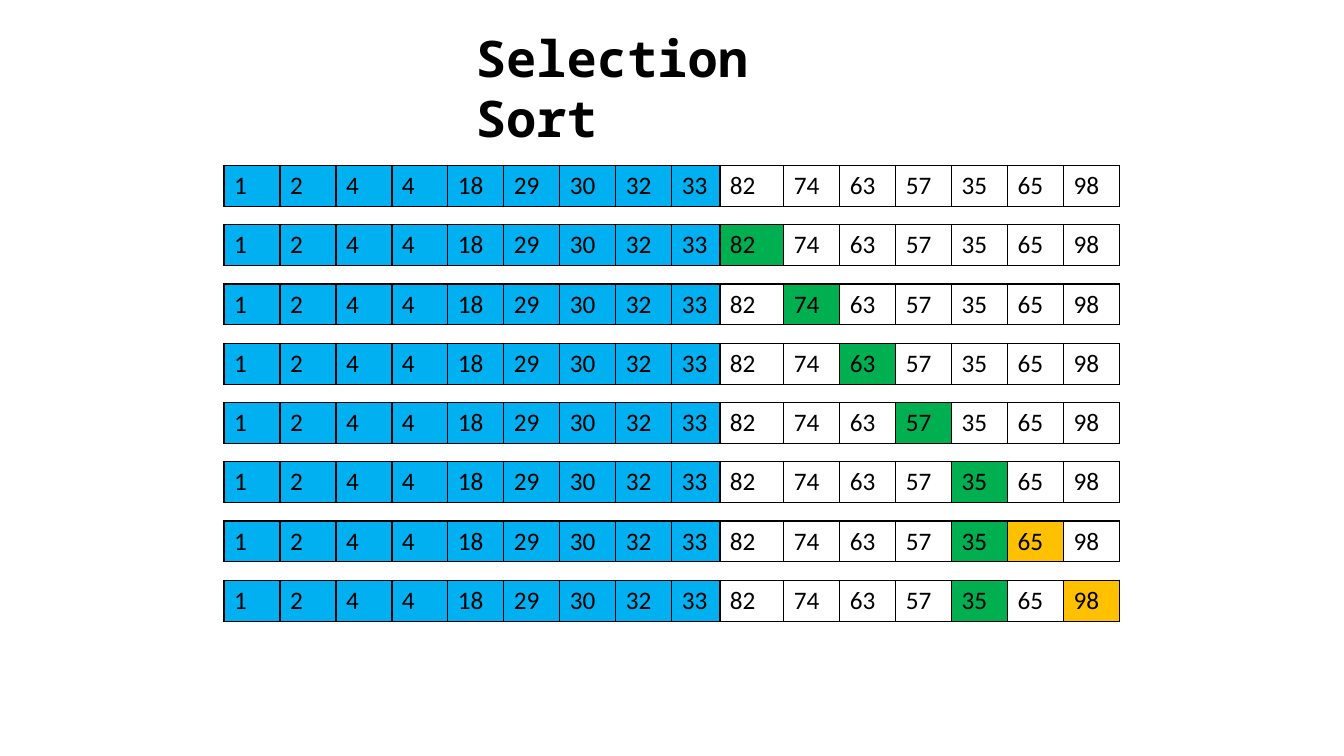
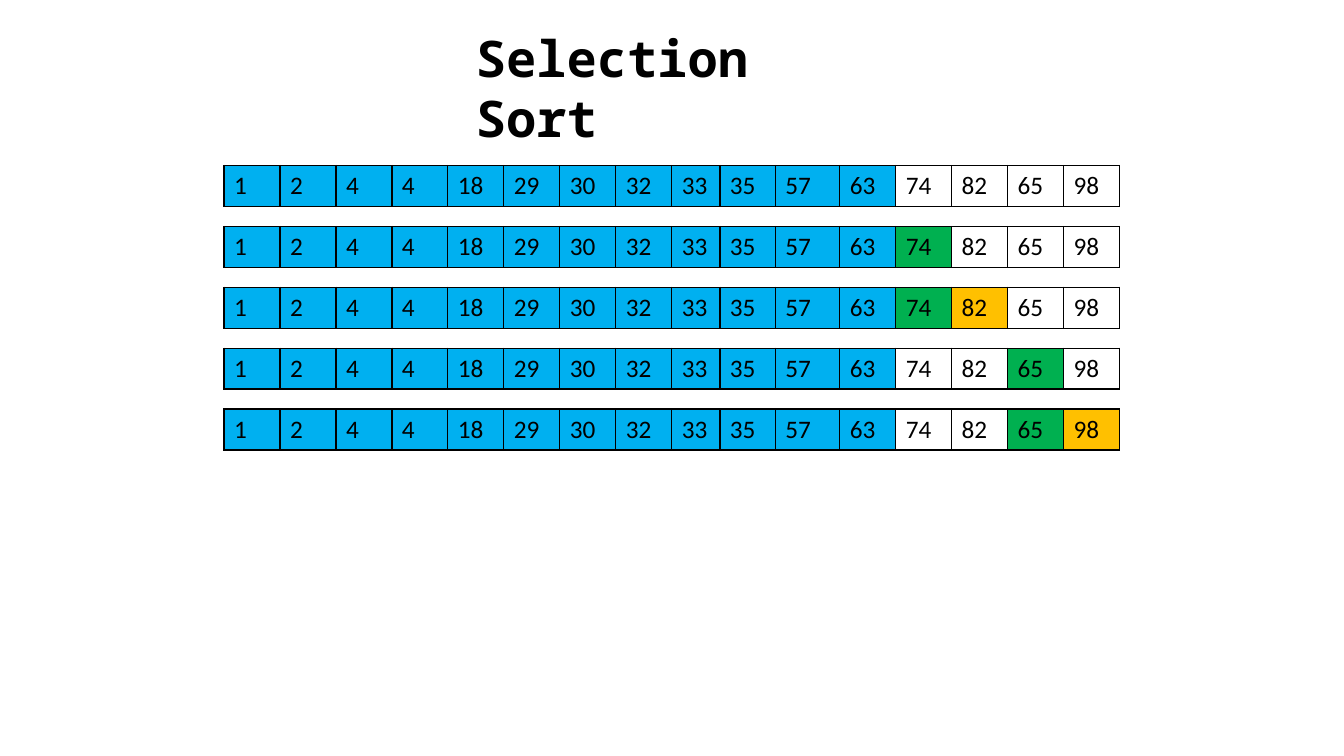
import pptx
import pptx.dml.color
import pptx.enum.text
import pptx.oxml
import pptx.oxml.ns
import pptx.util

COLORS = {
    "ink": "000000",
    "sorted": "00B0F0",
    "minimum": "00B050",
    "candidate": "FFC000",
}
TITLE_FORMAT = {"name": "Noto Sans Mono", "size": pptx.util.Pt(36), "bold": True}
CELL_FORMAT = {"name": "Calibri", "size": pptx.util.Pt(18), "bold": False}

SLIDE_WIDTH = pptx.util.Inches(13.33)
SLIDE_HEIGHT = pptx.util.Inches(7.5)
GRID_COLUMNS = 24
GRID_ROWS = 18.5  # one grid row is the height of one array
ARRAY_LEFT = 4
ARRAY_TOP = 4.05

# Each step names the highlighted cells by their index in the array.
PASSES = [
    {
        "values": [1, 2, 4, 4, 18, 29, 30, 32, 33, 82, 74, 63, 57, 35, 65, 98],
        "sorted_count": 9,
        "widths": {8: 0.86, 9: 1.14},
        "pitch": 1.45,
        "steps": [
            {},
            {9: "minimum"},
            {10: "minimum"},
            {11: "minimum"},
            {12: "minimum"},
            {13: "minimum"},
            {13: "minimum", 14: "candidate"},
            {13: "minimum", 15: "candidate"},
        ],
    },
    {
        "values": [1, 2, 4, 4, 18, 29, 30, 32, 33, 35, 57, 63, 74, 82, 65, 98],
        "sorted_count": 12,
        "widths": {8: 0.86, 9: 0.99, 10: 1.15},
        "pitch": 1.49,
        "steps": [
            {},
            {12: "minimum"},
            {12: "minimum", 13: "candidate"},
            {14: "minimum"},
            {14: "minimum", 15: "candidate"},
        ],
    },
]


def columns(count):
    return round(SLIDE_WIDTH * count / GRID_COLUMNS)


def rows(count):
    return round(SLIDE_HEIGHT * count / GRID_ROWS)


def rgb(color):
    return pptx.dml.color.RGBColor.from_string(COLORS[color])


class SortingDeck:
    def __init__(self):
        self.presentation = pptx.Presentation()
        self.presentation.slide_width = SLIDE_WIDTH
        self.presentation.slide_height = SLIDE_HEIGHT
        self.slide = None

    def add_slide(self):
        blank_layout = self.presentation.slide_layouts[6]
        self.slide = self.presentation.slides.add_slide(blank_layout)

    def add_text(self, text_frame, text, font_format):
        paragraph = text_frame.paragraphs[0]
        run = paragraph.add_run()
        run.text = text
        for attribute, value in font_format.items():
            setattr(run.font, attribute, value)
        run.font.color.rgb = rgb("ink")

    def title(self, text):
        shape = self.slide.shapes.add_textbox(
            columns(8.32), rows(0.54), columns(7.36), rows(1.75))
        shape.text_frame.word_wrap = True
        shape.text_frame.auto_size = pptx.enum.text.MSO_AUTO_SIZE.SHAPE_TO_FIT_TEXT
        self.add_text(shape.text_frame, text, TITLE_FORMAT)

    def border(self, cell):
        """Draw a thin line on all four sides; call before setting the fill."""
        properties = cell._tc.get_or_add_tcPr()
        for side in ("lnL", "lnR", "lnT", "lnB"):
            properties.append(pptx.oxml.parse_xml(
                f'<a:{side} {pptx.oxml.ns.nsdecls("a")} w="{pptx.util.Pt(1)}">'
                f'<a:solidFill><a:srgbClr val="{COLORS["ink"]}"/></a:solidFill>'
                f'</a:{side}>'))

    def array(self, top, values, widths, fills):
        """Draw one array; widths and fills map an index to its exception."""
        column_widths = [columns(widths.get(index, 1)) for index in range(len(values))]
        table = self.slide.shapes.add_table(
            1, len(values), columns(ARRAY_LEFT), rows(top),
            sum(column_widths), rows(1)).table
        table.first_row = False
        table.horz_banding = False
        for index, value in enumerate(values):
            table.columns[index].width = column_widths[index]
            cell = table.cell(0, index)
            self.add_text(cell.text_frame, str(value), CELL_FORMAT)
            self.border(cell)
            if index in fills:
                cell.fill.solid()
                cell.fill.fore_color.rgb = rgb(fills[index])
            else:
                cell.fill.background()


def main():
    deck = SortingDeck()
    for sorting_pass in PASSES:
        deck.add_slide()
        deck.title("Selection Sort")
        sorted_fills = dict.fromkeys(range(sorting_pass["sorted_count"]), "sorted")
        for number, highlights in enumerate(sorting_pass["steps"]):
            deck.array(
                ARRAY_TOP + number * sorting_pass["pitch"],
                sorting_pass["values"],
                sorting_pass["widths"],
                {**sorted_fills, **highlights})
    deck.presentation.save("out.pptx")


if __name__ == "__main__":
    main()
